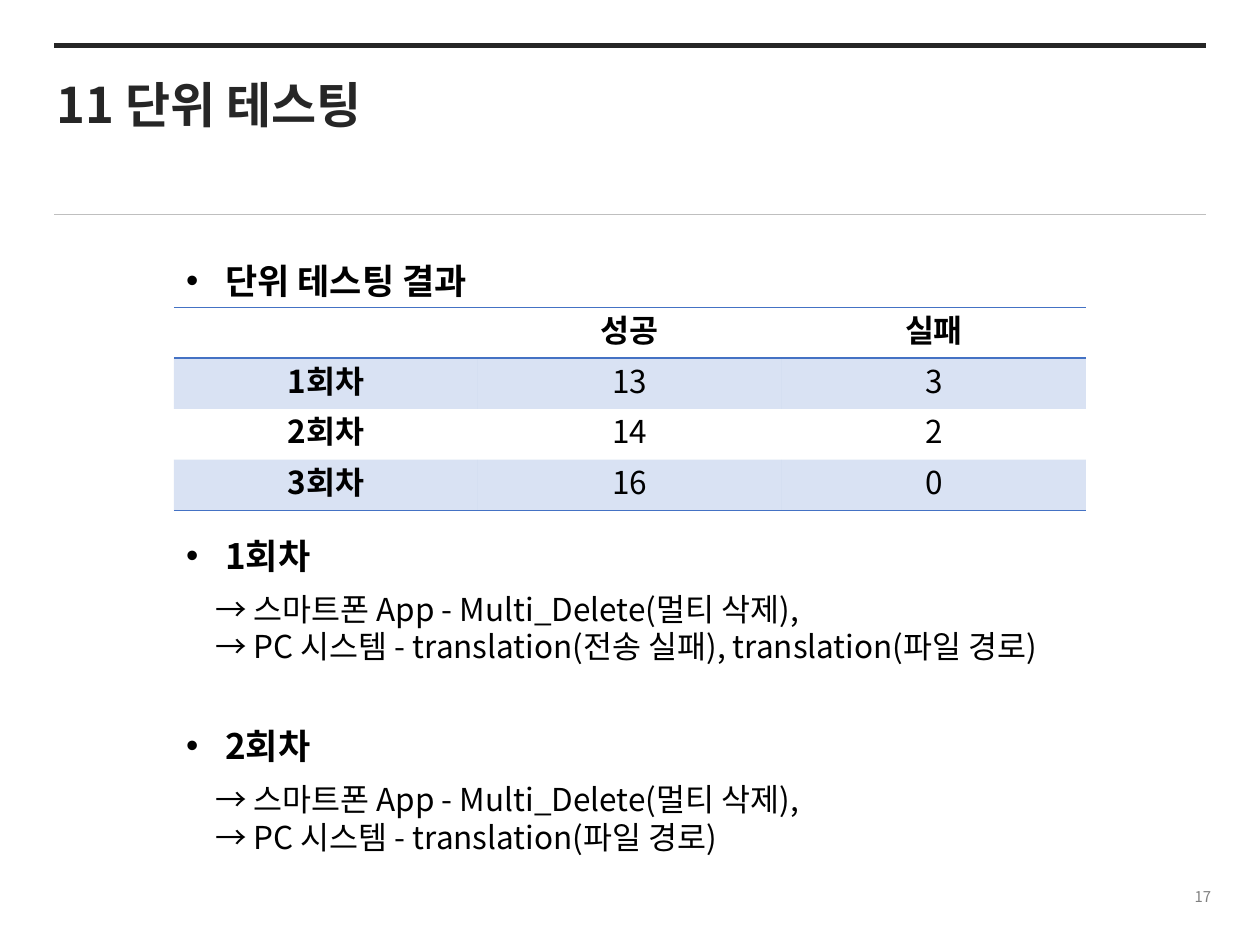
from lxml.etree import SubElement
from pptx import Presentation
from pptx.dml.color import RGBColor
from pptx.enum.shapes import MSO_CONNECTOR
from pptx.enum.text import MSO_ANCHOR, PP_ALIGN
from pptx.oxml.ns import qn
from pptx.util import Inches, Pt

FONT = "Noto Sans CJK KR"
BLACK = RGBColor(0, 0, 0)
DARK = RGBColor(0x26, 0x26, 0x26)
RULE_GRAY = RGBColor(0xBF, 0xBF, 0xBF)
NUMBER_GRAY = RGBColor(0x80, 0x80, 0x80)
BLUE = RGBColor(0x44, 0x72, 0xC4)

LEFT, WIDTH = 1.38, 7.24
HEADING_H = 0.44
HEADING = {"size": Pt(20), "bold": True}
BODY = {"size": Pt(18), "bold": False}

RESULTS = [("", "성공", "실패"), ("1회차", "13", "3"),
           ("2회차", "14", "2"), ("3회차", "16", "0")]
DELETE_FAILURE = "→ 스마트폰 App - Multi_Delete(멀티 삭제),"
ROUNDS = [
    (4.19, "1회차", [DELETE_FAILURE,
                   "→ PC 시스템 - translation(전송 실패), translation(파일 경로)"]),
    (5.7, "2회차", [DELETE_FAILURE, "→ PC 시스템 - translation(파일 경로)"]),
]


def write(p, text, style, color=BLACK, align=PP_ALIGN.LEFT):
    p.alignment = align
    p.line_spacing = Pt(style["size"].pt * 1.2)
    r = p.add_run()
    r.text = text
    for name, value in {"name": FONT, **style}.items():
        setattr(r.font, name, value)
    r.font.color.rgb = color
    SubElement(r._r.get_or_add_rPr(), qn("a:ea"), typeface=FONT)


def add_text(s, box, lines, style, color=BLACK, align=PP_ALIGN.LEFT,
             anchor=MSO_ANCHOR.TOP):
    tf = s.shapes.add_textbox(*map(Inches, box)).text_frame
    tf.word_wrap = True
    tf.vertical_anchor = anchor
    for i, line in enumerate(lines):
        p = tf.add_paragraph() if i else tf.paragraphs[0]
        write(p, line, style, color, align)
    return tf


def add_heading(s, left, top, text):
    tf = add_text(s, (left, top, WIDTH, HEADING_H), [text], HEADING)
    pPr = tf.paragraphs[0]._p.get_or_add_pPr()
    pPr.set("marL", str(Inches(0.31)))
    pPr.set("indent", str(-Inches(0.31)))
    SubElement(pPr, qn("a:buFont"), typeface="Arial")
    SubElement(pPr, qn("a:buChar"), char="•")


def add_rule(s, y, color, weight):
    line = s.shapes.add_connector(MSO_CONNECTOR.STRAIGHT, Inches(0.43),
                                  Inches(y), Inches(9.57), Inches(y))
    line.line.color.rgb = color
    line.line.width = Pt(weight)
    SubElement(line._element.spPr, qn("a:effectLst"))


def add_header(s):
    add_text(s, (0.35, 0.54, 7.56, 0.57), ["11 단위 테스팅"],
             {"size": Pt(28), "bold": True}, DARK)
    add_rule(s, 0.36, DARK, 3)
    add_rule(s, 1.7, RULE_GRAY, 0.5)


def set_borders(cell, sides):
    tcPr = cell._tc.get_or_add_tcPr()
    for i, side in enumerate(("lnL", "lnR", "lnT", "lnB")):
        ln = tcPr.makeelement(qn(f"a:{side}"), {"w": str(Pt(1))})
        tcPr.insert(i, ln)
        if side in sides:
            fill = SubElement(ln, qn("a:solidFill"))
            SubElement(fill, qn("a:srgbClr"), val=str(BLUE))
        else:
            SubElement(ln, qn("a:noFill"))


def fill_cell(cell, banded):
    if not banded:
        cell.fill.background()
        return
    cell.fill.solid()
    cell.fill.fore_color.rgb = BLUE
    color = cell._tc.tcPr.find(f"{qn('a:solidFill')}/{qn('a:srgbClr')}")
    SubElement(color, qn("a:alpha"), val="20000")


def add_results(s, left, top, width, height):
    table = s.shapes.add_table(len(RESULTS), 3, *map(
        Inches, (left, top, width, height))).table
    table.horz_banding = False
    last = len(RESULTS) - 1
    for i, row in enumerate(RESULTS):
        table.rows[i].height = Inches(height / len(RESULTS))
        sides = {0: ("lnT", "lnB"), 1: ("lnT",), last: ("lnB",)}.get(i, ())
        for j, text in enumerate(row):
            cell = table.cell(i, j)
            bold = i == 0 or j == 0
            write(cell.text_frame.paragraphs[0], text,
                  {**BODY, "bold": bold}, align=PP_ALIGN.CENTER)
            fill_cell(cell, i % 2 == 1)
            set_borders(cell, sides)


def add_round(s, left, top, title, failures):
    add_heading(s, left, top, title)
    add_text(s, (left + 0.23, top + HEADING_H, WIDTH, 0.71), failures, BODY)


prs = Presentation()
prs.slide_width, prs.slide_height = Inches(10), Inches(7.5)
s = prs.slides.add_slide(prs.slide_layouts[6])

add_header(s)
# Test results
add_heading(s, LEFT, 2.01, "단위 테스팅 결과")
add_results(s, LEFT, 2.44, WIDTH, 1.61)
# Failures found in each round
for top, title, failures in ROUNDS:
    add_round(s, LEFT, top, title, failures)
# Slide number
add_text(s, (7.6, 6.98, 2.11, 0.27), ["17"], {"size": Pt(8.5)}, NUMBER_GRAY,
         PP_ALIGN.RIGHT, MSO_ANCHOR.MIDDLE)

prs.save("out.pptx")
